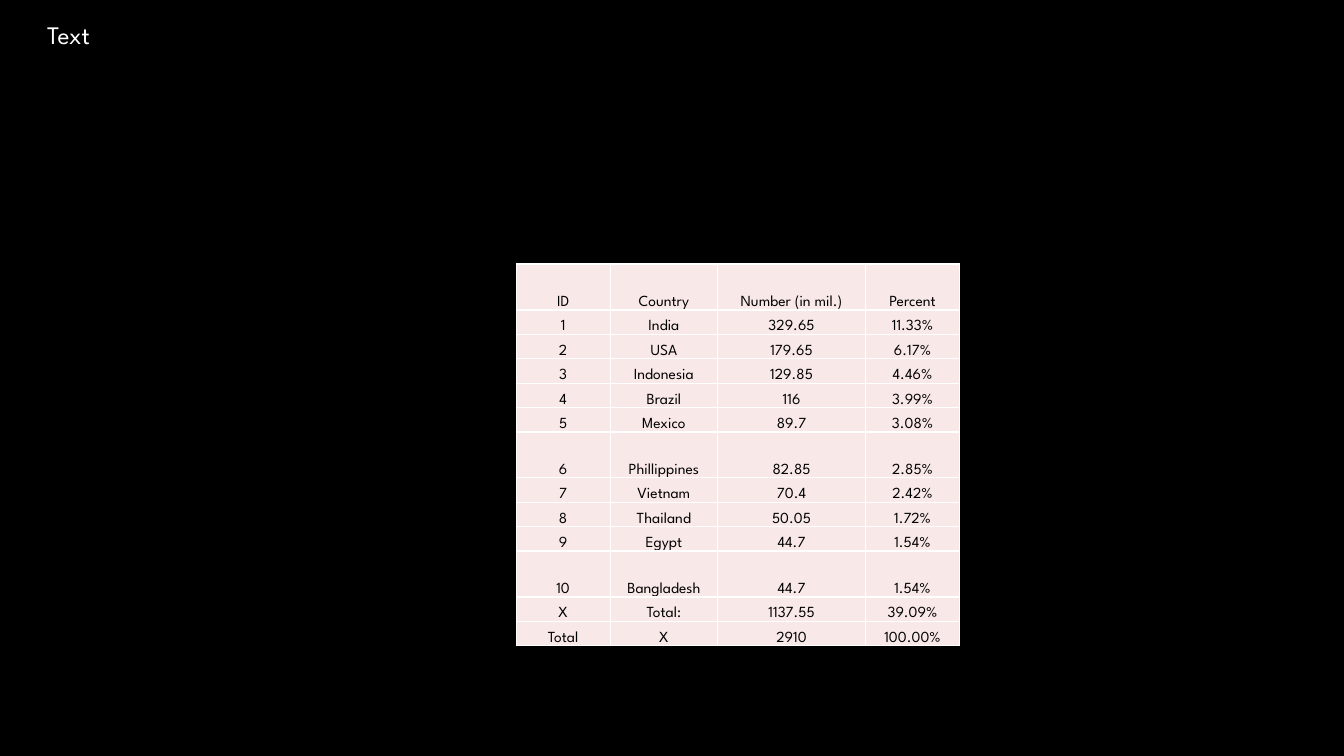
from lxml import etree
from pptx import Presentation
from pptx import util as u
from pptx.dml.color import RGBColor
from pptx.enum import text
from pptx.oxml.ns import qn

BLACK = RGBColor(0, 0, 0)
WHITE = RGBColor(255, 255, 255)
PINK = RGBColor(0xF9, 0xE8, 0xE8)


class Deck:
    """Style and current slide; lengths are percent of the slide's size."""
    font = "League Spartan"

    def __init__(self, wide, high):
        self.prs = Presentation()
        self.prs.slide_width = u.Inches(wide)
        self.prs.slide_height = u.Inches(high)
        self.slide = self.prs.slides.add_slide(self.prs.slide_layouts[6])
        fill = self.slide.background.fill
        fill.solid()
        fill.fore_color.rgb = BLACK

    def x(self, cols):
        return int(self.prs.slide_width * cols / 100)

    def y(self, rows):
        return int(self.prs.slide_height * rows / 100)

    def style(self, frame, size, color, align):
        for par in frame.paragraphs:
            par.alignment = align
            for run in par.runs:
                run.font.name = self.font
                run.font.size = u.Pt(size)
                run.font.color.rgb = color

    def label(self, words, left, top, wide, high, size, color):
        box = self.slide.shapes.add_textbox(
            self.x(left), self.y(top), self.x(wide), self.y(high))
        frame = box.text_frame
        frame.word_wrap = True
        frame.auto_size = text.MSO_AUTO_SIZE.SHAPE_TO_FIT_TEXT
        frame.text = words
        self.style(frame, size, color, text.PP_ALIGN.LEFT)

    def edge(self, cell, color, width):
        props = cell._tc.get_or_add_tcPr()
        for spot, side in enumerate(("lnL", "lnR", "lnT", "lnB")):
            line = etree.Element(qn("a:" + side), w=str(u.Pt(width)))
            fill = etree.SubElement(line, qn("a:solidFill"))
            etree.SubElement(fill, qn("a:srgbClr"), val=str(color))
            props.insert(spot, line)

    def table(self, data, left, top, cols, rows, size):
        grid = self.slide.shapes.add_table(
            len(rows), len(cols), self.x(left), self.y(top),
            self.x(sum(cols)), self.y(sum(rows))).table
        for col, wide in zip(grid.columns, cols):
            col.width = self.x(wide)
        for row, high, words in zip(grid.rows, rows, data):
            row.height = self.y(high)
            for cell, word in zip(row.cells, words):
                cell.fill.solid()
                cell.fill.fore_color.rgb = PINK
                cell.margin_left = cell.margin_right = u.Inches(0.01)
                cell.margin_top, cell.margin_bottom = u.Inches(0.01), 0
                cell.vertical_anchor = text.MSO_ANCHOR.BOTTOM
                cell.text_frame.text = word
                self.style(cell.text_frame, size, BLACK, text.PP_ALIGN.CENTER)
                self.edge(cell, WHITE, 1)


deck = Deck(13.33, 7.5)

# Heading
deck.label("Text", 2.78, 1.87, 18.23, 5.33, 18, WHITE)

# Country table
DATA = [
    ("ID", "Country", "Number (in mil.)", "Percent"),
    ("1", "India", "329.65", "11.33%"),
    ("2", "USA", "179.65", "6.17%"),
    ("3", "Indonesia", "129.85", "4.46%"),
    ("4", "Brazil", "116", "3.99%"),
    ("5", "Mexico", "89.7", "3.08%"),
    ("6", "Phillippines", "82.85", "2.85%"),
    ("7", "Vietnam", "70.4", "2.42%"),
    ("8", "Thailand", "50.05", "1.72%"),
    ("9", "Egypt", "44.7", "1.54%"),
    ("10", "Bangladesh", "44.7", "1.54%"),
    ("X", "Total:", "1137.55", "39.09%"),
    ("Total", "X", "2910", "100.00%"),
]
TALL = ("ID", "6", "10")
rows = [6.07 if line[0] in TALL else 3.23 for line in DATA]
deck.table(DATA, 38.4, 34.93, (7, 8, 11, 7), rows, 11)

deck.prs.save("out.pptx")
